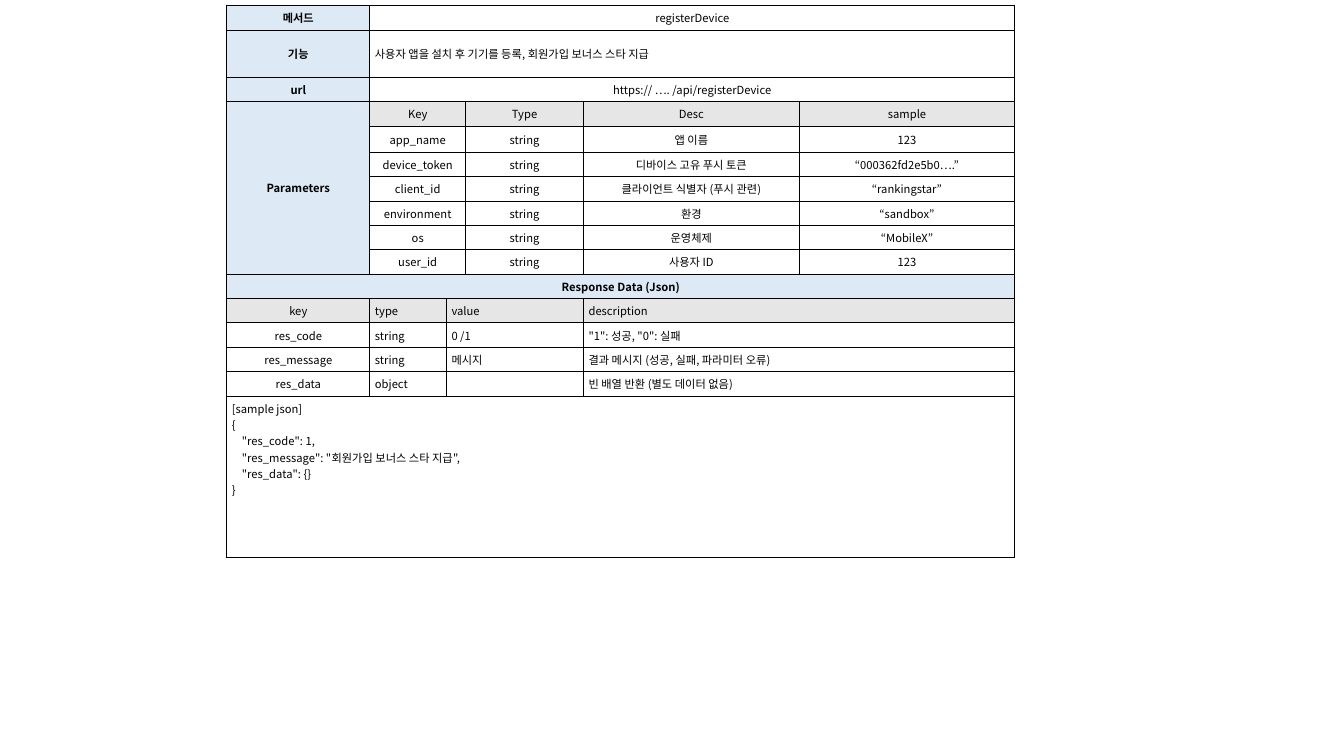
"""Build the registerDevice API specification slide."""
from lxml.etree import SubElement
from pptx import Presentation
from pptx.dml.color import RGBColor
from pptx.enum.text import MSO_ANCHOR as ANCHOR, PP_ALIGN as ALIGN
from pptx.oxml.ns import qn
from pptx.util import Pt

FONT, SIZE = "Noto Sans CJK KR", 8
BLACK, WHITE, BLUE, GREY = "000000", "FFFFFF", "DDEAF6", "E7E6E6"
LEFT, TOP = 162, 4
COLUMNS = [102.24, 54.72, 13.68, 84.24, 154.08, 154.08]
ROW_H = 14.4
TALL_ROWS = {1: 33.84, 4: 18.8, 15: 115.2}

STYLES = {
    "title": (BLUE, True, ALIGN.CENTER),
    "head": (GREY, False, ALIGN.CENTER),
    "head_left": (GREY, False, ALIGN.LEFT),
    "body": (WHITE, False, ALIGN.CENTER),
    "body_left": (WHITE, False, ALIGN.LEFT),
}
FACTS = [
    ("메서드", "registerDevice", "body"),
    ("기능", "사용자 앱을 설치 후 기기를 등록, 회원가입 보너스 스타 지급", "body_left"),
    ("url", "https:// …. /api/registerDevice", "body"),
]
PARAMETERS = [
    ("Key", "Type", "Desc", "sample"),
    ("app_name", "string", "앱 이름", "123"),
    ("device_token", "string", "디바이스 고유 푸시 토큰", "“000362fd2e5b0….”"),
    ("client_id", "string", "클라이언트 식별자 (푸시 관련)", "“rankingstar”"),
    ("environment", "string", "환경", "“sandbox”"),
    ("os", "string", "운영체제", "“MobileX”"),
    ("user_id", "string", "사용자 ID", "123"),
]
RESPONSE = [
    ("key", "type", "value", "description"),
    ("res_code", "string", "0 /1", '"1": 성공, "0": 실패'),
    ("res_message", "string", "메시지", "결과 메시지 (성공, 실패, 파라미터 오류)"),
    ("res_data", "object", "", "빈 배열 반환 (별도 데이터 없음)"),
]
SAMPLE = """[sample json]
{
    "res_code": 1,
    "res_message": "회원가입 보너스 스타 지급",
    "res_data": {}
}"""


def rgb(color):
    return RGBColor.from_string(color)


def add_borders(cell):
    tcPr = cell._tc.get_or_add_tcPr()
    for side in ("lnL", "lnR", "lnT", "lnB"):
        ln = SubElement(tcPr, qn(f"a:{side}"), w=str(Pt(0.75)))
        SubElement(SubElement(ln, qn("a:solidFill")), qn("a:srgbClr"), val=BLACK)


def add_text(p, text, bold):
    if not text:
        SubElement(p._p, qn("a:endParaRPr"), sz=str(SIZE * 100))
        return
    r = p.add_run()
    r.text = text
    r.font.name, r.font.size, r.font.bold = FONT, Pt(SIZE), bold
    r.font.color.rgb = rgb(BLACK)
    SubElement(r.font._element, qn("a:ea"), typeface=FONT)


def put(table, row, col, text, style, cols=1, rows=1):
    fill, bold, align = STYLES[style]
    cell = table.cell(row, col)
    if cols * rows > 1:
        cell.merge(table.cell(row + rows - 1, col + cols - 1))
    for i in range(row, row + rows):
        for j in range(col, col + cols):
            add_borders(table.cell(i, j))
            table.cell(i, j).fill.solid()
            table.cell(i, j).fill.fore_color.rgb = rgb(fill)
    cell.margin_left = cell.margin_right = Pt(3.6)
    cell.margin_top = cell.margin_bottom = Pt(2.88)
    cell.vertical_anchor = ANCHOR.MIDDLE
    tf = cell.text_frame
    for n, line in enumerate(text.split("\n")):
        p = tf.add_paragraph() if n else tf.paragraphs[0]
        p.alignment = align
        add_text(p, line, bold)
    return cell


def main():
    prs = Presentation()
    prs.slide_width, prs.slide_height = Pt(960), Pt(540)
    s = prs.slides.add_slide(prs.slide_layouts[6])

    param_top = len(FACTS)
    title_row = param_top + len(PARAMETERS)
    response_top = title_row + 1
    sample_row = response_top + len(RESPONSE)
    heights = [TALL_ROWS.get(i, ROW_H) for i in range(sample_row + 1)]
    table = s.shapes.add_table(
        len(heights), len(COLUMNS), Pt(LEFT), Pt(TOP), Pt(sum(COLUMNS)), Pt(sum(heights))
    ).table
    table.first_row = table.horz_banding = False
    for column, width in zip(table.columns, COLUMNS):
        column.width = Pt(width)
    for row, height in zip(table.rows, heights):
        row.height = Pt(height)

    for i, (name, value, style) in enumerate(FACTS):
        put(table, i, 0, name, "title")
        put(table, i, 1, value, style, cols=5)

    put(table, param_top, 0, "Parameters", "title", rows=len(PARAMETERS))
    for i, texts in enumerate(PARAMETERS):
        for text, (col, cols) in zip(texts, [(1, 2), (3, 1), (4, 1), (5, 1)]):
            put(table, param_top + i, col, text, "body" if i else "head", cols)

    put(table, title_row, 0, "Response Data (Json)", "title", cols=6)
    for i, texts in enumerate(RESPONSE):
        for text, (col, cols) in zip(texts, [(0, 1), (1, 1), (2, 2), (4, 2)]):
            style = ("body" if i else "head") + ("_left" if col else "")
            put(table, response_top + i, col, text, style, cols)

    sample = put(table, sample_row, 0, SAMPLE, "body_left", cols=6)
    sample.vertical_anchor = ANCHOR.TOP
    prs.save("out.pptx")


if __name__ == "__main__":
    main()
